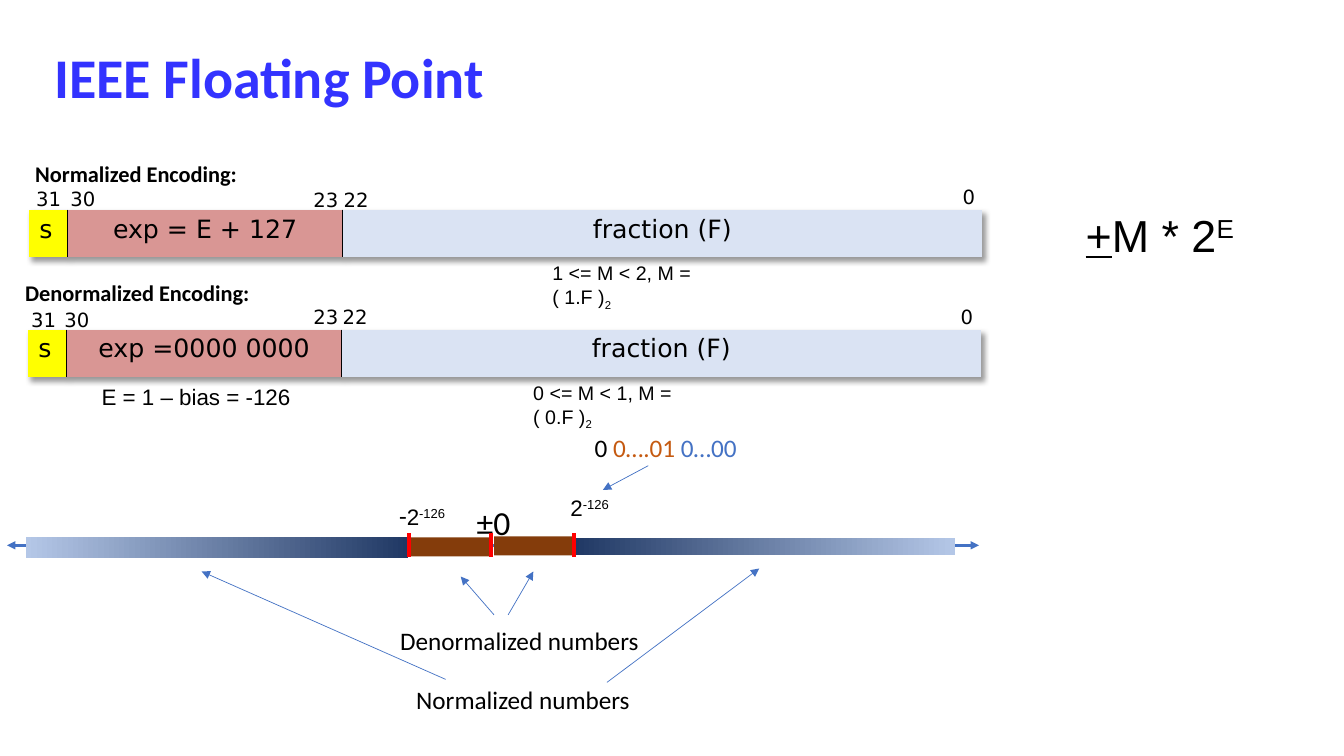
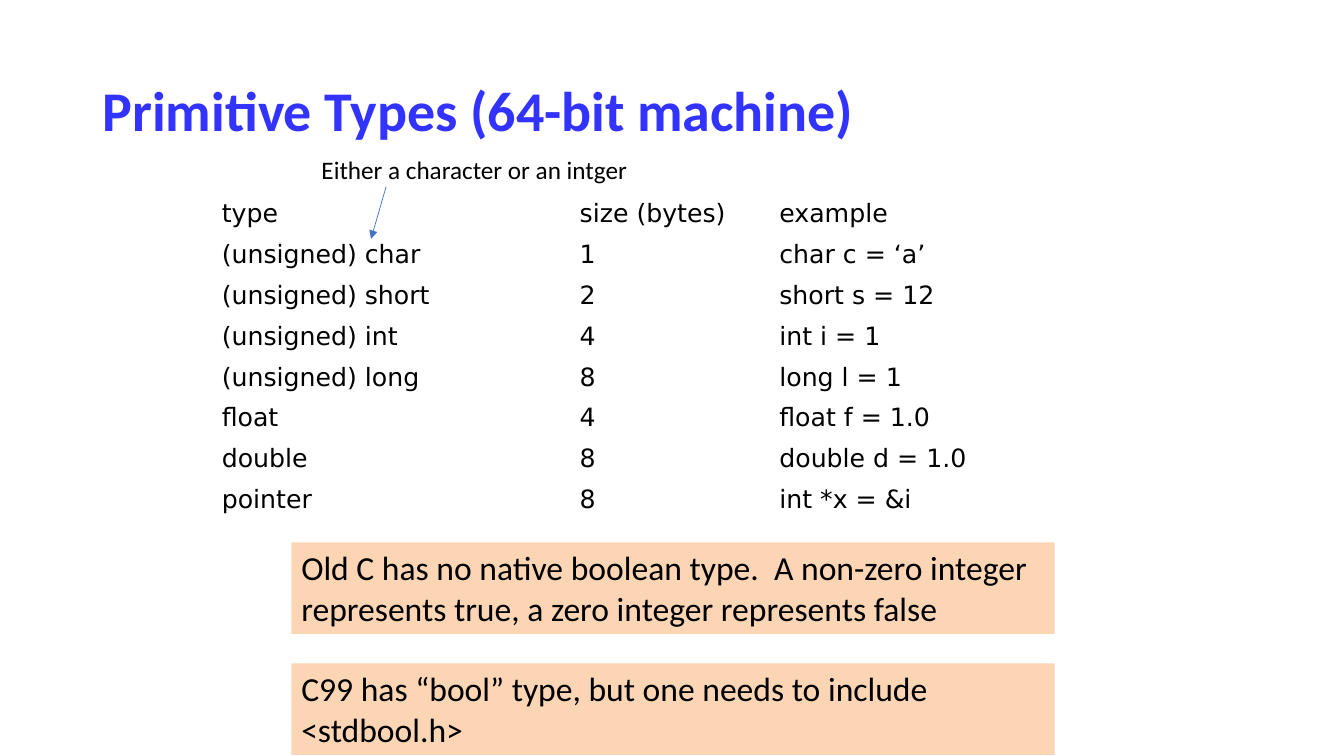
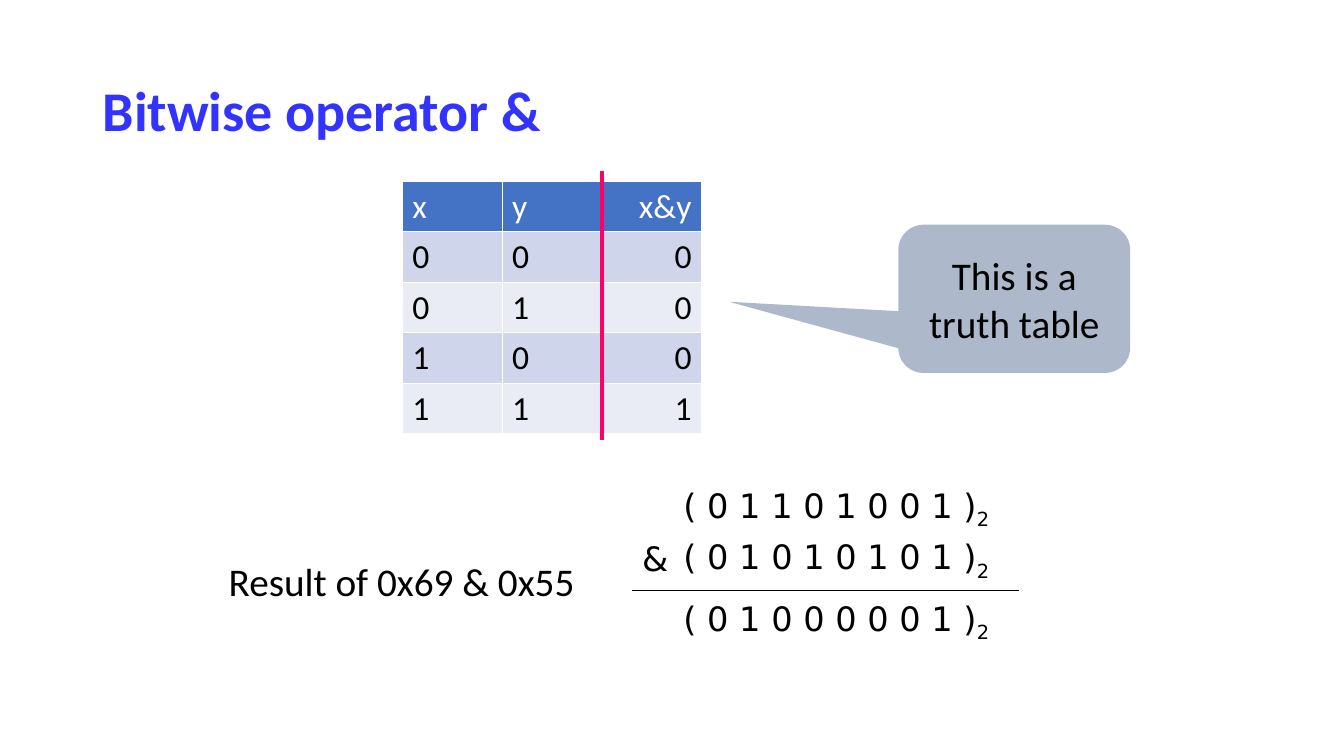
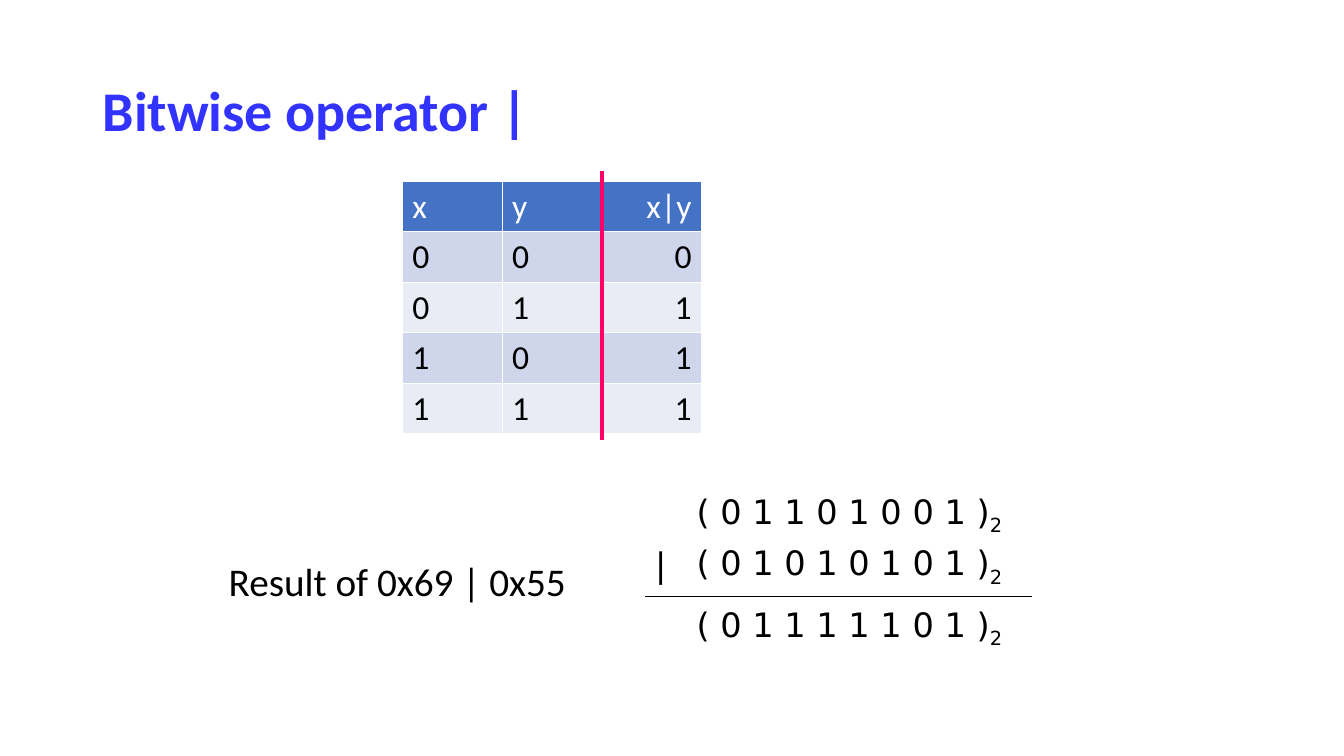
from pptx import Presentation
from pptx.dml.color import RGBColor
from pptx.enum.shapes import MSO_CONNECTOR, MSO_SHAPE
from pptx.enum.text import MSO_ANCHOR, MSO_AUTO_SIZE, PP_ALIGN
from pptx.oxml import parse_xml
from pptx.oxml.ns import nsdecls, qn
from pptx.util import Inches, Pt

BLACK = RGBColor(0x00, 0x00, 0x00)
WHITE = RGBColor(0xFF, 0xFF, 0xFF)
TITLE_BLUE = RGBColor(0x33, 0x33, 0xFF)
BLUE = RGBColor(0x44, 0x72, 0xC4)
PALE_BLUE = RGBColor(0xB4, 0xC7, 0xE7)
NAVY = RGBColor(0x20, 0x38, 0x64)
BROWN = RGBColor(0x84, 0x3C, 0x0B)
ORANGE = RGBColor(0xC5, 0x5A, 0x11)
RED = RGBColor(0xFF, 0x00, 0x00)
PINK = RGBColor(0xFF, 0x00, 0x66)
PEACH = RGBColor(0xFC, 0xD5, 0xB5)
SLATE = RGBColor(0xAD, 0xB9, 0xCA)
FIELD_FILLS = [
    RGBColor(0xFF, 0xFF, 0x00),
    RGBColor(0xD9, 0x96, 0x94),
    RGBColor(0xDA, 0xE3, 0xF3),
]
BANDS = [RGBColor(0xE9, 0xEB, 0xF5), RGBColor(0xCF, 0xD5, 0xEA)]

BODY = "Calibri"
PLAIN = "Arial"
CODE = "DejaVu Sans"
NO_STYLE = "{2D5ABB26-0587-4C30-8999-92F81FD0307C}"
TABLE_SHADOW = (
    f'<a:effectLst {nsdecls("a")}><a:outerShdw blurRad="50800" dist="38100" dir="2700000">'
    '<a:srgbClr val="000000"><a:alpha val="40000"/></a:srgbClr></a:outerShdw></a:effectLst>'
)


def write(tf, runs, size=18, font=BODY, color=BLACK, bold=False, align=PP_ALIGN.LEFT, spacing=None):
    p = tf.paragraphs[0]
    p.alignment = align
    p.line_spacing = spacing
    for text, own in [(runs, {})] if isinstance(runs, str) else runs:
        r = p.add_run()
        r.text = text
        r.font.size = Pt(own.get("size", size))
        r.font.name = own.get("font", font)
        r.font.color.rgb = own.get("color", color)
        r.font.bold = bold
        if own.get("underline"):
            r.font.underline = True
        if "baseline" in own:
            r.font._element.set("baseline", str(own["baseline"] * 1000))


def add_text(s, at, runs, wrap=True, grow=True, anchor=MSO_ANCHOR.TOP, **fmt):
    tf = s.shapes.add_textbox(*map(Inches, at)).text_frame
    tf.word_wrap = wrap
    tf.auto_size = MSO_AUTO_SIZE.SHAPE_TO_FIT_TEXT if grow else MSO_AUTO_SIZE.NONE
    tf.vertical_anchor = anchor
    write(tf, runs, **fmt)


def add_slide(prs, title, left=0.92, top=0.4):
    s = prs.slides.add_slide(prs.slide_layouts[6])
    add_text(s, (left, top, 11.5, 1.45), title, grow=False, anchor=MSO_ANCHOR.MIDDLE,
             size=40, color=TITLE_BLUE, bold=True, spacing=0.9)
    return s


def add_box(s, at, fill=None, kind=MSO_SHAPE.RECTANGLE):
    sp = s.shapes.add_shape(kind, *map(Inches, at))
    sp.shadow.inherit = False
    sp.line.fill.background()
    if fill is not None:
        sp.fill.solid()
        sp.fill.fore_color.rgb = fill
    return sp


def add_gradient_bar(s, at, angle):
    fill = add_box(s, at).fill
    fill.gradient()
    fill.gradient_angle = angle
    for stop, color in zip(fill.gradient_stops, (PALE_BLUE, NAVY)):
        stop.color.rgb = color


def add_panel(s, at, text, fill, anchor=MSO_ANCHOR.TOP, kind=MSO_SHAPE.RECTANGLE, **fmt):
    sp = add_box(s, at, fill, kind)
    sp.text_frame.word_wrap = True
    sp.text_frame.vertical_anchor = anchor
    write(sp.text_frame, text, **fmt)
    return sp


def add_line(s, start, end, color=BLUE, width=0.5, arrows=()):
    c = s.shapes.add_connector(MSO_CONNECTOR.STRAIGHT, *map(Inches, start + end))
    c.line.color.rgb = color
    c.line.width = Pt(width)
    ln = c.line._get_or_add_ln()
    for end_name in arrows:
        ln.append(parse_xml(f'<a:{end_name} {nsdecls("a")} type="triangle"/>'))
    c._element.spPr.append(parse_xml(f'<a:effectLst {nsdecls("a")}/>'))


def add_arrow(s, start, end):
    add_line(s, start, end, arrows=("tailEnd",))


def add_table(s, left, top, widths, row_height, rows):
    size = map(Inches, (left, top, sum(widths), row_height * len(rows)))
    table = s.shapes.add_table(len(rows), len(widths), *size).table
    table.first_row = table.horz_banding = False
    table._tbl.tblPr.find(qn("a:tableStyleId")).text = NO_STYLE
    for column, width in zip(table.columns, widths):
        column.width = Inches(width)
    for row in table.rows:
        row.height = Inches(row_height)
    return table


def format_cell(cell, text, fill=None, borders="", border_color=BLACK, **fmt):
    tcPr = cell._tc.get_or_add_tcPr()
    for side in borders:
        tcPr.append(parse_xml(
            f'<a:ln{side} {nsdecls("a")} w="12700"><a:solidFill>'
            f'<a:srgbClr val="{border_color}"/></a:solidFill></a:ln{side}>'))
    if fill is None:
        cell.fill.background()
    else:
        cell.fill.solid()
        cell.fill.fore_color.rgb = fill
    write(cell.text_frame, text, **fmt)


def add_encoding(s, left, top, heading, heading_at, exponent, bits, rule, rule_left):
    fields = ["s", exponent, "fraction (F)"]
    table = add_table(s, left, top, [0.38, 2.73, 6.34], 0.47, [fields])
    table._tbl.tblPr.insert(0, parse_xml(TABLE_SHADOW))
    for i, (text, fill, borders) in enumerate(zip(fields, FIELD_FILLS, ("R", "LR", "L"))):
        format_cell(table.cell(0, i), text, fill, borders, font=CODE,
                    align=PP_ALIGN.CENTER if i else PP_ALIGN.LEFT)
    for bit, x, y in bits:
        add_text(s, (x, y, 0.45 if bit else 0.33, 0.34), str(bit), wrap=False, size=14, font=CODE)
    add_text(s, (*heading_at, 9.31, 0.37), heading, size=16, bold=True)
    add_text(s, (rule_left, top + 0.46, 2.21, 0.34), [(rule, {}), ("2", {"baseline": -25})],
             wrap=False, size=14, font=PLAIN)


def add_number_line(s):
    add_line(s, (0.07, 5.41), (9.71, 5.41), width=1.75, arrows=("headEnd", "tailEnd"))
    add_text(s, (4.63, 4.93, 0.54, 0.5), "±0", size=24)
    add_gradient_bar(s, (0.26, 5.33, 3.79, 0.21), 0)
    add_gradient_bar(s, (5.69, 5.34, 3.78, 0.17), 180)
    add_box(s, (4.06, 5.33, 0.79, 0.19), BROWN)
    add_box(s, (4.9, 5.32, 0.79, 0.19), BROWN)
    for x in (4.06, 4.87, 5.69):
        add_line(s, (x, 5.29), (x, 5.53), RED, 3)

    add_text(s, (3.87, 6.15, 2.6, 0.4), "Denormalized numbers")
    add_text(s, (4.03, 6.74, 2.34, 0.4), "Normalized numbers")
    power = [("2", {}), ("-126", {"baseline": 30})]
    add_text(s, (5.56, 4.85, 0.62, 0.37), power, size=16, font=PLAIN)
    add_text(s, (3.86, 4.91, 0.7, 0.71), [("-", {"size": 18, "font": BODY})] + power,
             size=16, font=PLAIN)
    add_text(s, (5.8, 4.24, 1.62, 0.4),
             [("0 ", {}), ("0….01 ", {"color": ORANGE}), ("0…00", {"color": BLUE})])
    for start, end in [
        ((4.9, 6.1), (4.57, 5.72)),
        ((5.04, 6.1), (5.29, 5.67)),
        ((4.42, 6.74), (2, 5.67)),
        ((6.02, 6.77), (7.53, 5.64)),
        ((6.43, 4.62), (5.98, 4.86)),
    ]:
        add_arrow(s, start, end)


def floating_point_slide(prs):
    s = add_slide(prs, "IEEE Floating Point", 0.44, 0.07)
    add_text(s, (10.67, 2.01, 1.87, 0.64),
             [("+", {"underline": True}), ("M * 2", {}), ("E", {"baseline": 30})],
             size=32, font=PLAIN)
    add_encoding(s, 0.29, 2.08, "Normalized Encoding:", (0.25, 1.54), "exp = E + 127",
                 [(31, 0.26, 1.81), (30, 0.6, 1.81), (23, 3.01, 1.82), (22, 3.31, 1.82),
                  (0, 9.45, 1.79)],
                 "1 <= M < 2, M = ( 1.F )", 5.38)
    add_encoding(s, 0.28, 3.27, "Denormalized Encoding:", (0.15, 2.72), "exp =0000 0000",
                 [(31, 0.21, 3.01), (30, 0.54, 3.01), (23, 3.01, 2.98), (22, 3.3, 2.98),
                  (0, 9.43, 2.98)],
                 "0 <= M < 1, M = ( 0.F )", 5.19)
    add_text(s, (0.91, 3.75, 2.1, 0.37), "E = 1 – bias = -126", wrap=False, size=16, font=PLAIN)
    add_number_line(s)


def primitive_types_slide(prs):
    s = add_slide(prs, "Primitive Types (64-bit machine)")
    rows = [
        ("type", "size (bytes)", "example"),
        ("(unsigned) char", "1", "char c = ‘a’"),
        ("(unsigned) short", "2", "short s = 12"),
        ("(unsigned) int", "4", "int i = 1"),
        ("(unsigned) long", "8", "long l = 1"),
        ("float", "4", "float f = 1.0"),
        ("double", "8", "double d = 1.0"),
        ("pointer", "8", "int *x = &i"),
    ]
    table = add_table(s, 2.1, 1.93, [3.55, 1.98, 3.53], 0.405, rows)
    for i, row in enumerate(rows):
        for j, text in enumerate(row):
            format_cell(table.cell(i, j), text, font=CODE)
    notes = [
        "Old C has no native boolean type.  A non-zero integer represents true, "
        "a zero integer represents false",
        "C99 has “bool” type, but one needs to include <stdbool.h>",
    ]
    for i, text in enumerate(notes):
        add_panel(s, (2.89, 5.38 + 1.2 * i, 7.57, 0.91), text, PEACH, size=24)
    add_arrow(s, (3.83, 1.85), (3.68, 2.37))
    add_text(s, (3.09, 1.48, 3.27, 0.4), "Either a character or an intger", wrap=False)


def add_truth_table(s, symbol, operate):
    rows = [("x", "y", f"x{symbol}y")]
    rows += [(str(x), str(y), str(operate(x, y))) for x in (0, 1) for y in (0, 1)]
    table = add_table(s, 3.99, 1.8, [0.99] * 3, 0.5, rows)
    for i, row in enumerate(rows):
        for j, text in enumerate(row):
            format_cell(table.cell(i, j), text, BANDS[i % 2] if i else BLUE, "LRTB", WHITE,
                        size=24, color=BLACK if i else WHITE,
                        align=PP_ALIGN.RIGHT if j == 2 else PP_ALIGN.LEFT)
    add_line(s, (5.97, 1.7), (5.97, 4.37), PINK, 3)


def bitwise_slide(prs, symbol, operate, left, top):
    s = add_slide(prs, f"Bitwise operator {symbol}")
    a, b = 0x69, 0x55
    for value, dy in ((a, 0), (b, 0.51), (operate(a, b), 1.12)):
        digits = " ".join(f"{value:08b}")
        add_text(s, (left + 0.41, top + dy, 3.51, 0.5),
                 [(f"( {digits} )", {}), ("2", {"baseline": -25})],
                 wrap=False, size=24, font=CODE)
    add_text(s, (left, top + 0.53, 0.45, 0.5), symbol, wrap=False, size=24, font=CODE)
    add_line(s, (left, top + 1.1), (left + 3.84, top + 1.1), BLACK, 1)
    add_text(s, (2.17, 5.48, 3.68, 0.57), f"Result of 0x{a:x} {symbol} 0x{b:x}",
             wrap=False, size=28)
    add_truth_table(s, symbol, operate)
    return s


def main():
    prs = Presentation()
    prs.slide_width, prs.slide_height = Inches(13.33), Inches(7.5)
    floating_point_slide(prs)
    primitive_types_slide(prs)
    s = bitwise_slide(prs, "&", lambda x, y: x & y, 6.27, 4.76)
    callout = add_panel(s, (8.91, 2.23, 2.3, 1.47), "This is a truth table", SLATE,
                        MSO_ANCHOR.MIDDLE, MSO_SHAPE.ROUNDED_RECTANGULAR_CALLOUT,
                        size=28, align=PP_ALIGN.CENTER)
    for i, value in enumerate((-1.23, 0.02, 0.17)):
        callout.adjustments[i] = value
    bitwise_slide(prs, "|", lambda x, y: x | y, 6.4, 4.82)
    prs.save("out.pptx")


if __name__ == "__main__":
    main()
